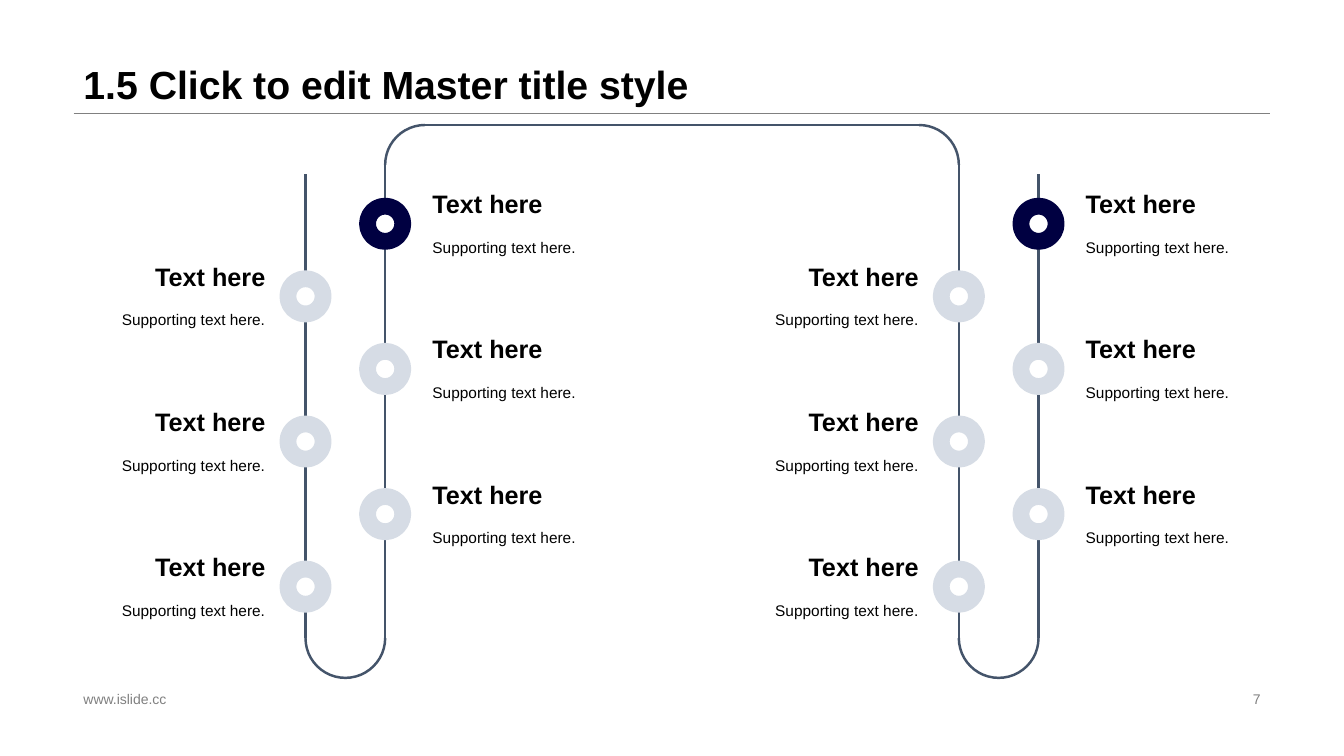
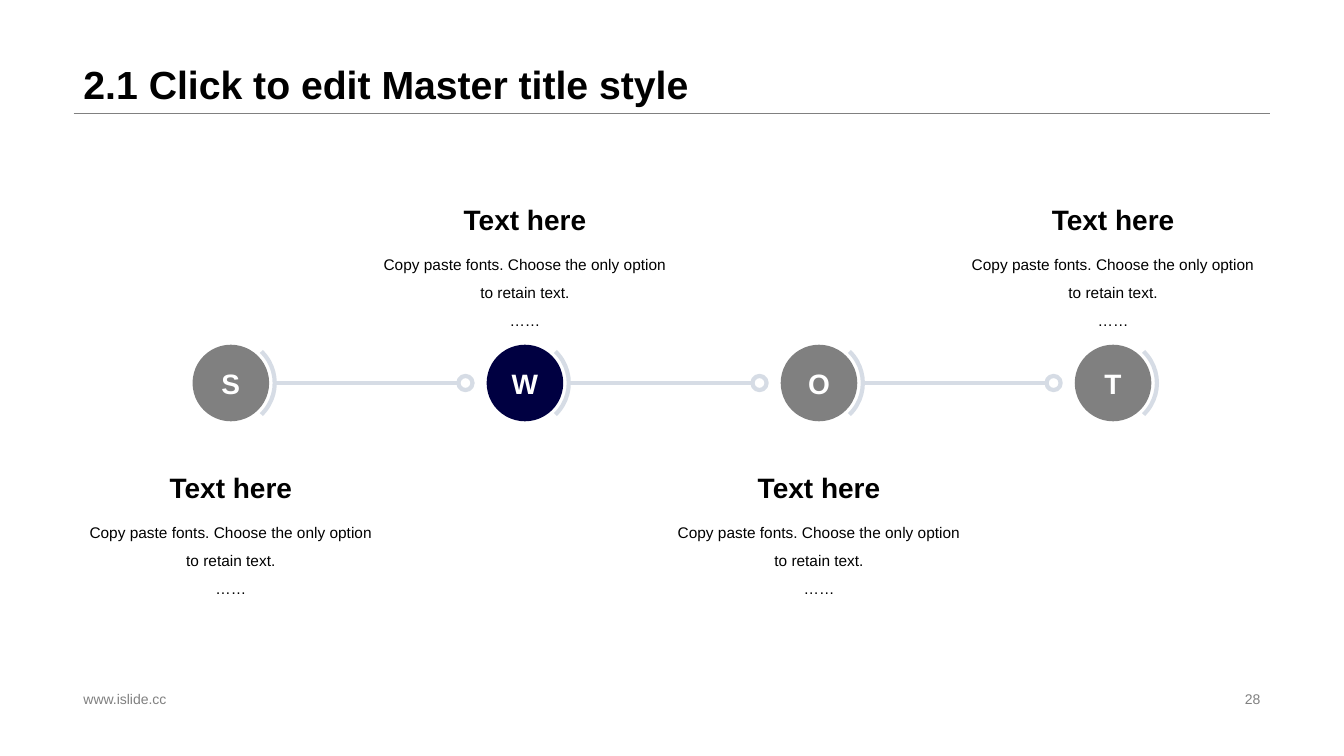
from dataclasses import dataclass

from lxml import etree
from pptx import Presentation
from pptx.dml.color import RGBColor
from pptx.enum.shapes import MSO_CONNECTOR, MSO_SHAPE
from pptx.enum.text import MSO_ANCHOR, PP_ALIGN
from pptx.oxml.ns import qn
from pptx.slide import Slide
from pptx.util import Inches, Pt

LEFT, CENTER, RIGHT = PP_ALIGN.LEFT, PP_ALIGN.CENTER, PP_ALIGN.RIGHT
TOP, MIDDLE, BOTTOM = MSO_ANCHOR.TOP, MSO_ANCHOR.MIDDLE, MSO_ANCHOR.BOTTOM
ELLIPSE, ARC = MSO_SHAPE.OVAL, MSO_SHAPE.ARC
STRAIGHT = MSO_CONNECTOR.STRAIGHT
BLANK_LAYOUT = 6


@dataclass(frozen=True)
class Theme:
    font: str = "Arial"
    ink: RGBColor = RGBColor(0x00, 0x00, 0x00)
    paper: RGBColor = RGBColor(0xFF, 0xFF, 0xFF)
    gray: RGBColor = RGBColor(0x80, 0x80, 0x80)
    slate: RGBColor = RGBColor(0x44, 0x54, 0x6A)
    pale: RGBColor = RGBColor(0xD6, 0xDC, 0xE5)
    navy: RGBColor = RGBColor(0x00, 0x00, 0x41)
    title_size: float = 28
    letter_size: float = 20
    heading_size: float = 18
    body_size: float = 11
    footer_size: float = 10
    hairline: float = 0.25
    rail_line: float = 1.75
    link_line: float = 3
    ring_line: float = 12


THEME = Theme()


@dataclass(frozen=True)
class Box:
    left: float
    top: float
    width: float
    height: float


@dataclass(frozen=True)
class TextStyle:
    size: float
    color: RGBColor = THEME.ink
    bold: bool = False
    align: PP_ALIGN = LEFT
    anchor: MSO_ANCHOR = TOP
    spacing: float = 1.0


@dataclass(frozen=True)
class Stroke:
    color: RGBColor
    width: float


@dataclass(frozen=True)
class Station:
    row: int
    side: int  # 0: left rail, 1: right rail
    color: RGBColor = THEME.pale


@dataclass(frozen=True)
class Milestone:
    letter: str
    color: RGBColor
    text_top: float


# Shared page grid
SLIDE_WIDTH, SLIDE_HEIGHT = 13.33, 7.5
MARGIN, CONTENT_WIDTH = 0.73, 11.87
CONTENT_RIGHT = MARGIN + CONTENT_WIDTH
TITLE_BOTTOM = 1.12
FOOTER_TOP, FOOTER_HEIGHT = 6.82, 0.23
HEADING_HEIGHT = 0.51

RAIL_STROKE = Stroke(THEME.slate, THEME.rail_line)
LINK_STROKE = Stroke(THEME.pale, THEME.link_line)

# Winding road: two loops of two rails, stations on six rows
FIRST_RAIL, RAIL_GAP, LOOP_PITCH = 3.03, 0.79, 6.48
OUTER_TOP, ROAD_TOP, RAIL_BOTTOM = 1.73, 1.24, 6.33
FIRST_ROW, ROW_PITCH = 2.22, 0.72
STATION_SIZE = 0.35
STATIONS = (
    Station(1, 0), Station(3, 0), Station(5, 0),
    Station(4, 1), Station(2, 1), Station(0, 1, THEME.navy),
)

# Milestone chain: four equal columns between the margins
COLUMN_WIDTH = 3.12
AXIS = 3.8
DISC_SIZE, ARC_SIZE, DOT_SIZE = 0.76, 0.87, 0.14
LINK_START, DOT_OFFSET = 0.45, 0.59
UPPER_TEXT, LOWER_TEXT = 1.88, 4.54
MILESTONES = (
    Milestone("S", THEME.gray, LOWER_TEXT),
    Milestone("W", THEME.navy, UPPER_TEXT),
    Milestone("O", THEME.gray, LOWER_TEXT),
    Milestone("T", THEME.gray, UPPER_TEXT),
)


# Drawing helpers
def centered(x: float, y: float, size: float) -> Box:
    return Box(x - size / 2, y - size / 2, size, size)


def lengths(box: Box) -> tuple:
    return tuple(Inches(v) for v in (box.left, box.top, box.width, box.height))


def write(shape, lines: tuple[str, ...], style: TextStyle) -> None:
    frame = shape.text_frame
    frame.word_wrap = True
    frame.vertical_anchor = style.anchor
    frame.text = "\n".join(lines)
    for para in frame.paragraphs:
        para.alignment = style.align
        para.line_spacing = style.spacing
        para.font.name = THEME.font
        para.font.size = Pt(style.size)
        para.font.bold = style.bold
        para.font.color.rgb = style.color


def add_text(page: Slide, box: Box, lines: tuple[str, ...], style: TextStyle) -> None:
    write(page.shapes.add_textbox(*lengths(box)), lines, style)


def apply_stroke(item, stroke: Stroke) -> None:
    item.line.color.rgb = stroke.color
    item.line.width = Pt(stroke.width)


def add_line(page: Slide, start: tuple[float, float], end: tuple[float, float],
             stroke: Stroke) -> None:
    line = page.shapes.add_connector(STRAIGHT, *(Inches(v) for v in start + end))
    apply_stroke(line, stroke)
    etree.SubElement(line._element.spPr, qn("a:effectLst"))


def add_shape(page: Slide, kind: MSO_SHAPE, box: Box,
              fill: RGBColor | None = None, stroke: Stroke | None = None):
    shape = page.shapes.add_shape(kind, *lengths(box))
    shape.shadow.inherit = False
    if fill is None:
        shape.fill.background()
    else:
        shape.fill.solid()
        shape.fill.fore_color.rgb = fill
    if stroke is None:
        shape.line.fill.background()
    else:
        apply_stroke(shape, stroke)
    return shape


def add_arc(page: Slide, box: Box, start: float, end: float, stroke: Stroke) -> None:
    """Draw an arc clockwise between two angles in degrees from the right."""
    arc = add_shape(page, ARC, box, stroke=stroke)
    for index, angle in enumerate((start, end)):
        arc.adjustments[index] = angle * 0.6  # 60000 units a degree, scaled by 100000


def add_caption(page: Slide, left: float, top: float, width: float, body_height: float,
                heading_size: float, body: tuple[str, ...], align: PP_ALIGN) -> None:
    add_text(page, Box(left, top, width, HEADING_HEIGHT), ("Text here",),
             TextStyle(heading_size, bold=True, align=align, anchor=BOTTOM))
    add_text(page, Box(left, top + HEADING_HEIGHT, width, body_height), body,
             TextStyle(THEME.body_size, align=align, spacing=1.5))


def add_page(deck, title: str, number: int) -> Slide:
    page = deck.slides.add_slide(deck.slide_layouts[BLANK_LAYOUT])
    add_line(page, (MARGIN, TITLE_BOTTOM), (CONTENT_RIGHT, TITLE_BOTTOM),
             Stroke(THEME.gray, THEME.hairline))
    add_text(page, Box(MARGIN, 0, CONTENT_WIDTH, TITLE_BOTTOM), (title,),
             TextStyle(THEME.title_size, bold=True, anchor=BOTTOM, spacing=0.9))
    for left, width, text, align in (
        (MARGIN, 4.53, "www.islide.cc", LEFT),
        (CONTENT_RIGHT - 3.18, 3.18, str(number), RIGHT),
    ):
        add_text(page, Box(left, FOOTER_TOP, width, FOOTER_HEIGHT), (text,),
                 TextStyle(THEME.footer_size, THEME.gray, align=align, anchor=MIDDLE))
    return page


# Slide 1: winding road
def add_road(page: Slide, loops: tuple[float, float]) -> None:
    radius = RAIL_GAP / 2
    inner_top = ROAD_TOP + radius
    bridge = (loops[0] + RAIL_GAP, loops[1])
    for left in loops:
        add_arc(page, Box(left, RAIL_BOTTOM - radius, RAIL_GAP, RAIL_GAP), 0, 180, RAIL_STROKE)
        for x in (left, left + RAIL_GAP):
            top = inner_top if x in bridge else OUTER_TOP
            add_line(page, (x, RAIL_BOTTOM), (x, top), RAIL_STROKE)
    add_arc(page, Box(bridge[0], ROAD_TOP, RAIL_GAP, RAIL_GAP), 180, 270, RAIL_STROKE)
    add_arc(page, Box(bridge[1] - RAIL_GAP, ROAD_TOP, RAIL_GAP, RAIL_GAP), 270, 0, RAIL_STROKE)
    add_line(page, (bridge[0] + radius, ROAD_TOP), (bridge[1] - radius, ROAD_TOP), RAIL_STROKE)


def add_station(page: Slide, loop_left: float, station: Station) -> None:
    x = loop_left + station.side * RAIL_GAP
    y = FIRST_ROW + station.row * ROW_PITCH
    add_shape(page, ELLIPSE, centered(x, y, STATION_SIZE), THEME.paper,
              Stroke(station.color, THEME.ring_line))
    width = 2.01
    left, align = (x + 0.37, LEFT) if station.side else (x - 0.3 - width, RIGHT)
    add_caption(page, left, y - HEADING_HEIGHT, min(width, CONTENT_RIGHT - left),
                HEADING_HEIGHT, THEME.heading_size, ("Supporting text here.",), align)


def build_road_page(deck) -> None:
    page = add_page(deck, "1.5 Click to edit Master title style", 7)
    loops = (FIRST_RAIL, FIRST_RAIL + LOOP_PITCH)
    add_road(page, loops)
    for loop_left in loops:
        for station in STATIONS:
            add_station(page, loop_left, station)


# Slide 2: milestone chain
def build_chain_page(deck) -> None:
    page = add_page(deck, "2.1 Click to edit Master title style", 28)
    pitch = (CONTENT_WIDTH - COLUMN_WIDTH) / (len(MILESTONES) - 1)
    for column, milestone in enumerate(MILESTONES):
        left = MARGIN + column * pitch
        x = left + COLUMN_WIDTH / 2
        if column < len(MILESTONES) - 1:
            dot_x = x + pitch - DOT_OFFSET
            add_shape(page, ELLIPSE, centered(dot_x, AXIS, DOT_SIZE), stroke=LINK_STROKE)
            add_line(page, (dot_x - DOT_SIZE / 2, AXIS), (x + LINK_START, AXIS), LINK_STROKE)
        add_arc(page, centered(x, AXIS, ARC_SIZE), 314, 46, LINK_STROKE)
        disc = add_shape(page, ELLIPSE, centered(x, AXIS, DISC_SIZE), milestone.color)
        write(disc, (milestone.letter,),
              TextStyle(THEME.letter_size, THEME.paper, True, CENTER, MIDDLE))
        add_caption(page, left, milestone.text_top, COLUMN_WIDTH, 1.01, THEME.letter_size,
                    ("Copy paste fonts. Choose the only option to retain text.", "……"), CENTER)


def main() -> None:
    deck = Presentation()
    deck.slide_width, deck.slide_height = Inches(SLIDE_WIDTH), Inches(SLIDE_HEIGHT)
    build_road_page(deck)
    build_chain_page(deck)
    deck.save("out.pptx")


if __name__ == "__main__":
    main()
